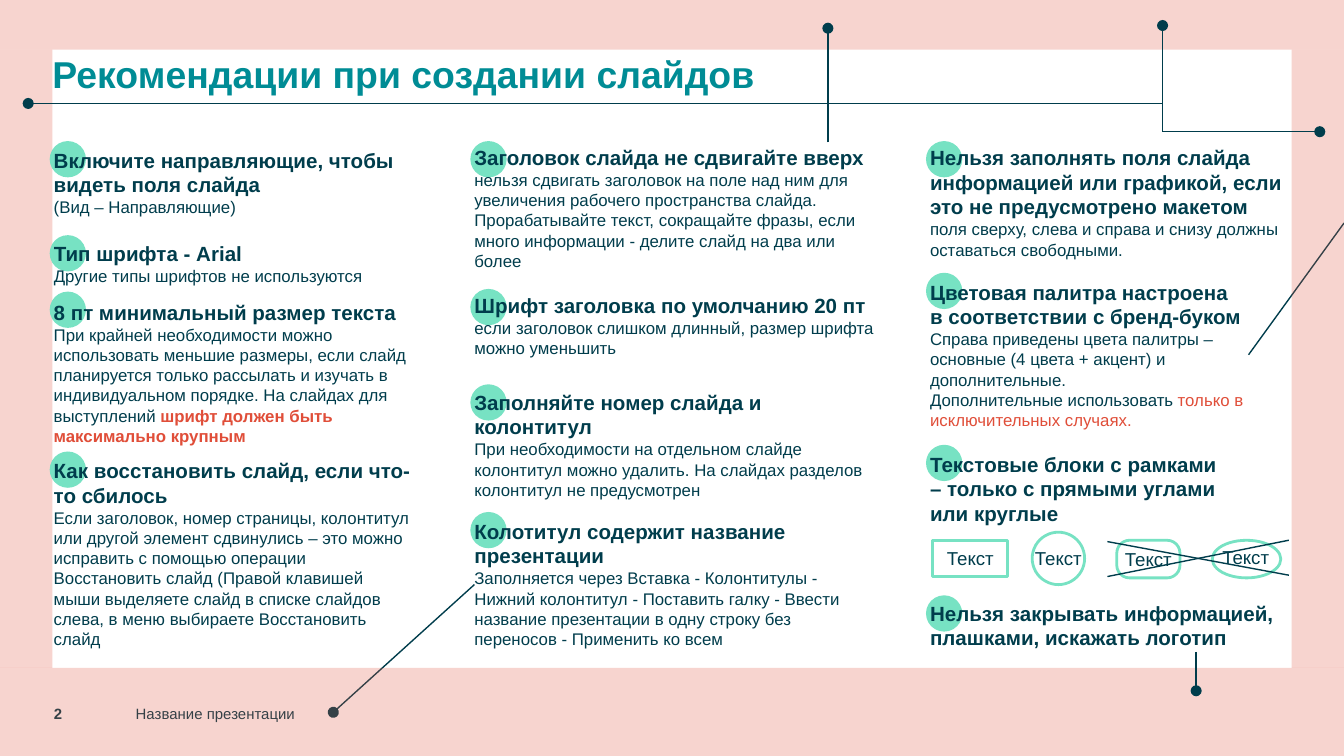
"""Build a slide with recommendations for making slides."""
from lxml.etree import SubElement
from pptx import Presentation
from pptx.dml.color import RGBColor
from pptx.enum.shapes import MSO_CONNECTOR as CONNECTOR, MSO_SHAPE as SHAPE
from pptx.enum.text import MSO_ANCHOR as ANCHOR, PP_ALIGN as ALIGN
from pptx.oxml.ns import qn
from pptx.util import Inches, Pt

INK = RGBColor(0x00, 0x3D, 0x4C)
TEAL = RGBColor(0x00, 0x8C, 0x95)
MINT = RGBColor(0x77, 0xE2, 0xC3)
RED = RGBColor(0xE0, 0x4E, 0x39)

TITLE = {"size": Pt(20), "bold": True, "color": TEAL}
HEADING = {"size": Pt(11), "bold": True, "color": INK}
BODY = {"size": Pt(9), "bold": False, "color": INK}
WARNING = {"size": Pt(9), "bold": False, "color": RED}
STRONG_WARNING = {"size": Pt(9), "bold": True, "color": RED}
FOOTER = {"size": Pt(8), "bold": False, "color": INK}
PAGE_NUMBER = {"size": Pt(8), "bold": True, "color": INK}
SAMPLE = {"size": Pt(10), "bold": False, "color": INK}

presentation = Presentation()
presentation.slide_width = Inches(10)
presentation.slide_height = Inches(10 * 9 / 16)
slide = presentation.slides.add_slide(presentation.slide_layouts[6])


def write(shape, paragraphs, anchor=ANCHOR.TOP, wrap=True, align=ALIGN.LEFT):
    frame = shape.text_frame
    frame.word_wrap, frame.vertical_anchor = wrap, anchor
    for side in ("left", "top", "right", "bottom"):
        setattr(frame, f"margin_{side}", 0)
    for number, runs in enumerate(paragraphs):
        paragraph = frame.add_paragraph() if number else frame.paragraphs[0]
        paragraph.alignment = align
        for text, style in runs:
            for index, line in enumerate(text.split("\n")):
                if index:
                    paragraph.add_line_break()
                run = paragraph.add_run()
                run.text = line
                run.font.name = "Arial"
                for name, value in style.items():
                    if name == "color":
                        run.font.color.rgb = value
                    else:
                        setattr(run.font, name, value)


def add_line(start, end, dotted=True):
    points = [Inches(value) for value in (*start, *end)]
    connector = slide.shapes.add_connector(CONNECTOR.STRAIGHT, *points)
    connector.line.color.rgb = INK
    connector.line.width = Pt(0.75)
    if dotted:
        SubElement(connector.line._get_or_add_ln(), qn("a:tailEnd"), type="oval")
    SubElement(connector._element.spPr, qn("a:effectLst"))


labels = [
    ((0.39, 0.38, 9.22, 0.74), "Рекомендации при создании слайдов", TITLE, ANCHOR.TOP),
    ((1.01, 5.2, 5.82, 0.22), "Название презентации", FOOTER, ANCHOR.MIDDLE),
    ((0.4, 5.21, 0.35, 0.2), "2", PAGE_NUMBER, ANCHOR.MIDDLE),
]
for box, text, style, anchor in labels:
    write(slide.shapes.add_textbox(*map(Inches, box)), [[(text, style)]], anchor)

add_line((9.29, 2.64), (10, 1.66), dotted=False)
add_line((3.53, 4.35), (2.48, 5.3))

margins = [(0, 0.37, 0.39, 4.6), (9.61, 0.37, 0.39, 4.6), (0, 0, 10, 0.37), (0, 4.97, 10, 0.66)]
for box in margins:
    margin = slide.shapes.add_shape(SHAPE.RECTANGLE, *map(Inches, box))
    margin.shadow.inherit = False
    margin.fill.solid()
    margin.fill.fore_color.rgb = RED
    margin.line.fill.background()
    color = margin._element.spPr.find(qn("a:solidFill")).find(qn("a:srgbClr"))
    SubElement(color, qn("a:alpha"), val="24000")

columns = [
    (0.37, 0.4, [
        (1.05, (1.1, 2.66, 0.54), "Включите направляющие, чтобы видеть поля слайда",
         [[("(Вид – Направляющие)", BODY)]]),
        (1.75, (1.79, 2.45, 0.34), "Тип шрифта - Arial",
         [[("Другие типы шрифтов не используются", BODY)]]),
        (2.17, (2.23, 2.66, 1.09), "8 пт минимальный размер текста",
         [[("При крайней необходимости можно использовать меньшие размеры, если слайд "
            "планируется только рассылать и изучать в индивидуальном порядке. На слайдах "
            "для выступлений ", BODY),
           ("шрифт должен быть максимально крупным", STRONG_WARNING)]]),
        (3.36, (3.41, 2.66, 1.43), "Как восстановить слайд, если что-то сбилось",
         [[("Если заголовок, номер страницы, колонтитул или другой элемент сдвинулись – "
            "это можно исправить с помощью операции Восстановить слайд (Правой клавишей "
            "мыши выделяете слайд в списке слайдов слева, в меню выбираете Восстановить "
            "слайд", BODY)]]),
    ]),
    (3.5, 3.53, [
        (1.05, (1.08, 2.94, 0.94), "Заголовок слайда не сдвигайте вверх",
         [[("нельзя сдвигать заголовок на поле над ним для увеличения рабочего "
            "пространства слайда. Прорабатывайте текст, сокращайте фразы, если много "
            "информации - делите слайд на два или более", BODY)]]),
        (2.15, (2.18, 3.08, 0.49), "Шрифт заголовка по умолчанию 20 пт",
         [[("если заголовок слишком длинный, размер шрифта можно уменьшить", BODY)]]),
        (2.86, (2.9, 2.94, 0.82), "Заполняйте номер слайда и колонтитул",
         [[("При необходимости на отдельном слайде колонтитул можно удалить. "
            "На слайдах разделов колонтитул не предусмотрен", BODY)]]),
        (3.81, (3.86, 2.96, 0.98), "Колотитул содержит название презентации",
         [[("Заполняется через Вставка - Колонтитулы - Нижний колонтитул - Поставить "
            "галку - Ввести название презентации в одну строку без переносов - "
            "Применить ко всем", BODY)]]),
    ]),
    (6.89, 6.92, [
        (1.05, (1.08, 2.66, 0.86), "Нельзя заполнять поля слайда информацией или "
         "графикой, если это не предусмотрено макетом",
         [[("поля сверху, слева и справа и снизу должны оставаться свободными.", BODY)]]),
        (2.03, (2.08, 2.36, 1.13), "Цветовая палитра настроена \nв соответствии с бренд-буком",
         [[("Справа приведены цвета палитры – основные (4 цвета + акцент) и "
            "дополнительные.", BODY)],
          [("Дополнительные использовать ", BODY),
           ("только в исключительных случаях.", WARNING)]]),
        (3.31, (3.36, 2.23, 0.56),
         "Текстовые блоки с рамками – только с прямыми углами или круглые", []),
        (4.43, (4.47, 2.6, 0.37),
         "Нельзя закрывать информацией, плашками, искажать логотип", []),
    ]),
]
for dot_left, text_left, tips in columns:
    for dot_top, (top, width, height), heading, body in tips:
        dot = slide.shapes.add_shape(SHAPE.OVAL, *map(Inches, (dot_left, dot_top, 0.27, 0.27)))
        dot.shadow.inherit = False
        dot.fill.solid()
        dot.fill.fore_color.rgb = MINT
        dot.line.fill.background()
        tip = slide.shapes.add_textbox(*map(Inches, (text_left, top, width, height)))
        write(tip, [[(heading, HEADING)], *body])

samples = [
    (SHAPE.RECTANGLE, (6.94, 4.02, 0.56, 0.27), ANCHOR.MIDDLE, ALIGN.CENTER),
    (SHAPE.ROUNDED_RECTANGLE, (8.31, 4.02, 0.47, 0.28), ANCHOR.MIDDLE, ALIGN.CENTER),
    (SHAPE.OVAL, (7.68, 3.96, 0.39, 0.39), ANCHOR.MIDDLE, ALIGN.CENTER),
    (SHAPE.OVAL, (9.02, 4.02, 0.51, 0.28), ANCHOR.TOP, ALIGN.LEFT),
]
for kind, box, anchor, align in samples:
    sample = slide.shapes.add_shape(kind, *map(Inches, box))
    if kind == SHAPE.ROUNDED_RECTANGLE:
        sample.adjustments[0] = 0.34
    sample.shadow.inherit = False
    sample.fill.background()
    sample.line.color.rgb = MINT
    sample.line.width = Pt(1.5)
    write(sample, [[("Текст", SAMPLE)]], anchor, False, align)

add_line((8.24, 4.29), (9.59, 4.02), dotted=False)
add_line((8.24, 4.03), (9.59, 4.28), dotted=False)

pointers = [
    ((8.65, 0.98), (8.65, 0.19)),
    ((8.65, 0.98), (9.82, 0.98)),
    ((6.16, 1.06), (6.16, 0.21)),
    ((8.65, 0.77), (0.21, 0.77)),
    ((8.9, 4.85), (8.9, 5.14)),
]
for start, end in pointers:
    add_line(start, end)

presentation.save("out.pptx")
